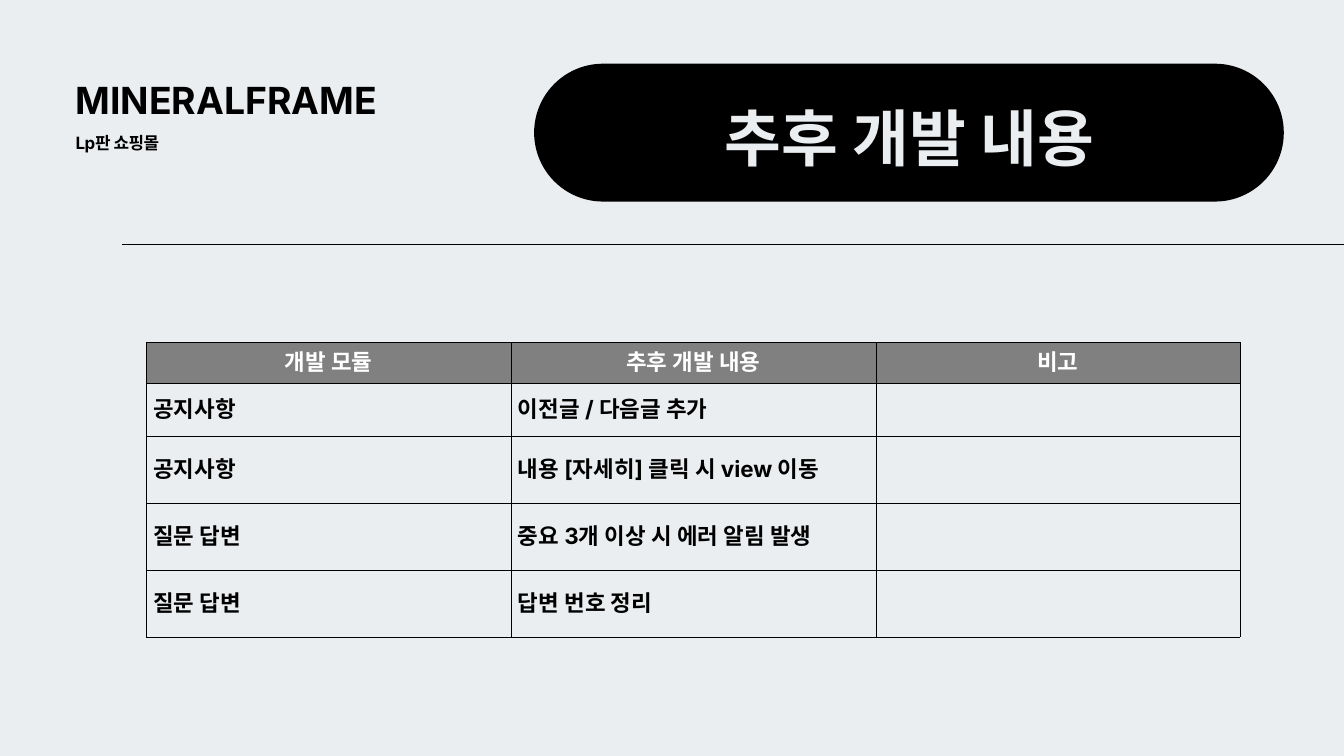
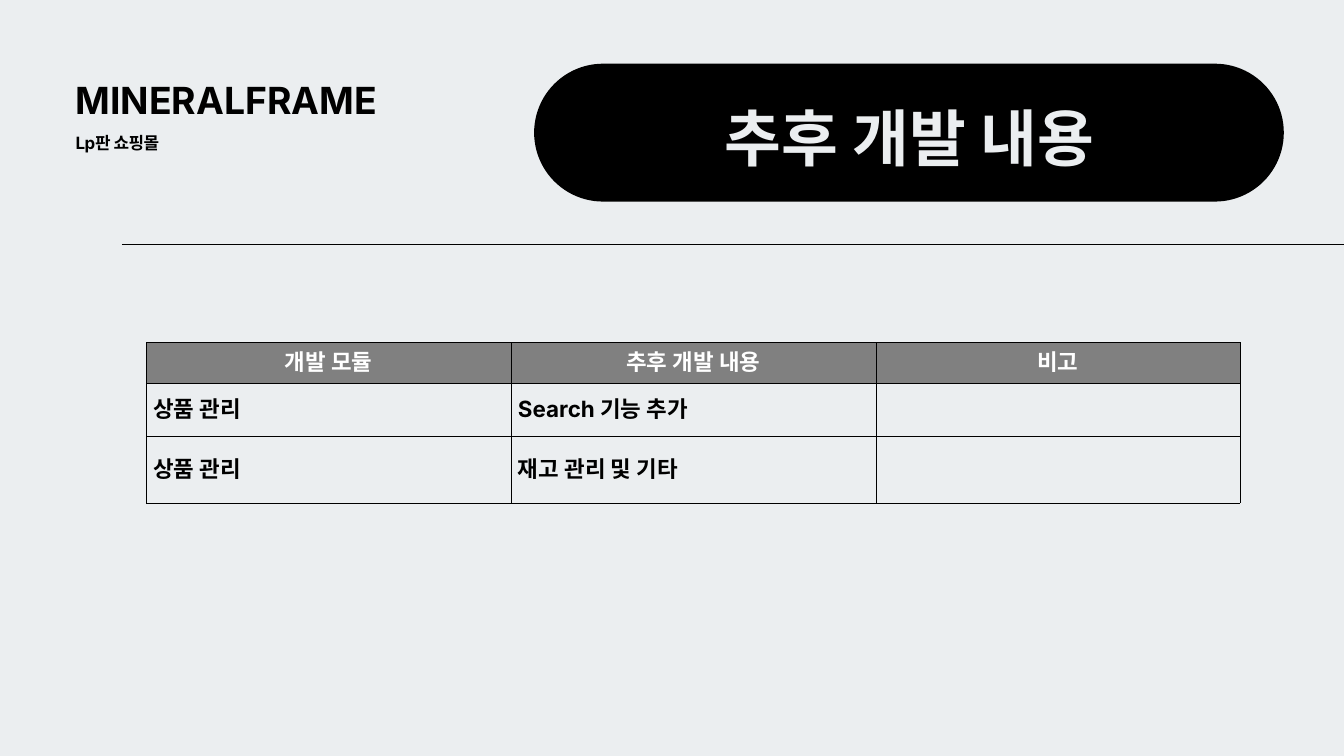
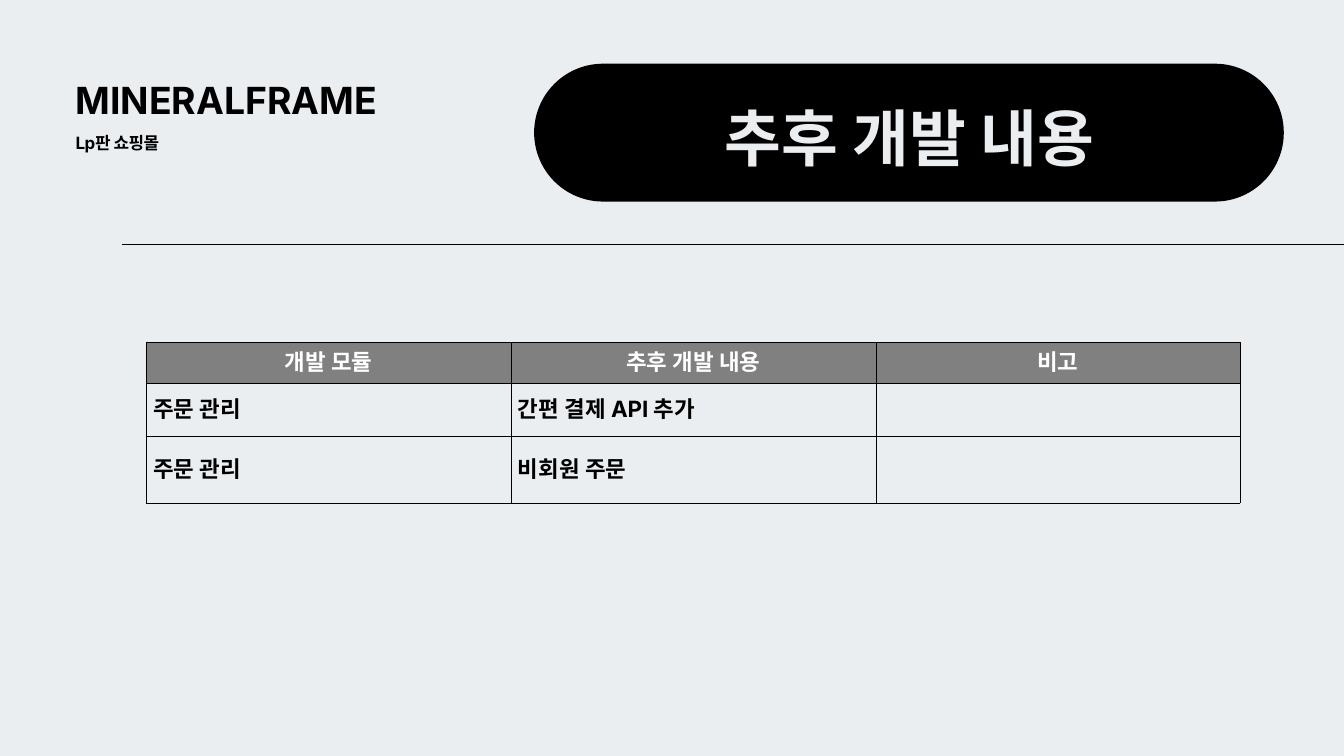
from dataclasses import dataclass

from lxml import etree
from pptx import Presentation, util as u
from pptx.dml.color import RGBColor
from pptx.enum import shapes, text
from pptx.oxml import ns

PX = 9525  # EMU in one px, 96 px to the inch


@dataclass(frozen=True)
class Style:
    """Type size, line spacing and letter spacing in points."""
    size: float
    leading: float
    colour: RGBColor
    align: text.PP_ALIGN = text.PP_ALIGN.LEFT
    tracking: float = 0


class Theme:
    font = "Inter"
    paper = RGBColor.from_string("EBEEF0")
    ink = RGBColor.from_string("000000")
    header_grey = RGBColor.from_string("808080")
    white = RGBColor.from_string("FFFFFF")
    rule_width = 0.75
    border_width = 0.37

    brand = Style(40, 56, ink)
    tagline = Style(18.1, 21.8, ink, tracking=-0.6)
    title = Style(66.1, 92.6, paper, text.PP_ALIGN.CENTER)
    header = Style(24, 28.8, white, text.PP_ALIGN.CENTER)
    body = Style(24, 28.8, ink)


BRAND = "MINERALFRAME"
TAGLINE = "Lp판 쇼핑몰"
TITLE = "추후 개발 내용"
COLUMNS = ["개발 모듈", "추후 개발 내용", "비고"]
PLANS = [
    [
        ("공지사항", "이전글 / 다음글 추가"),
        ("공지사항", "내용 [자세히] 클릭 시 view 이동"),
        ("질문 답변", "중요 3개 이상 시 에러 알림 발생"),
        ("질문 답변", "답변 번호 정리"),
    ],
    [
        ("상품 관리", "Search 기능 추가"),
        ("상품 관리", "재고 관리 및 기타"),
    ],
    [
        ("주문 관리", "간편 결제 API 추가"),
        ("주문 관리", "비회원 주문"),
    ],
]

COLUMN_WIDTH = 521
HEADER_HEIGHT, FIRST_HEIGHT, ROW_HEIGHT = 57, 75, 96
CELL_MARGIN = 10


def px(*lengths):
    return [u.Emu(length * PX) for length in lengths]


def write(frame, words, style):
    paragraph = frame.paragraphs[0]
    paragraph.alignment = style.align
    paragraph.line_spacing = u.Pt(style.leading)
    run = paragraph.add_run()
    run.text = words
    font = run.font
    font.name, font.size, font.bold = Theme.font, u.Pt(style.size), True
    font.color.rgb = style.colour
    properties = run.font._element
    etree.SubElement(properties, ns.qn("a:ea"), typeface=Theme.font)
    if style.tracking:
        properties.set("spc", str(round(style.tracking * 100)))


def fill_box(box, words, style):
    """Write into a box without insets, from its top edge."""
    frame = box.text_frame
    frame.margin_left = frame.margin_right = 0
    frame.margin_top = frame.margin_bottom = 0
    frame.word_wrap = True
    frame.auto_size = text.MSO_AUTO_SIZE.SHAPE_TO_FIT_TEXT
    frame.vertical_anchor = text.MSO_ANCHOR.TOP
    write(frame, words, style)


def add_rule(slide):
    rule = slide.shapes.add_connector(
        shapes.MSO_CONNECTOR.STRAIGHT, *px(174, 349, 1920, 349))
    rule.line.color.rgb = Theme.ink
    rule.line.width = u.Pt(Theme.rule_width)
    etree.SubElement(rule.element.spPr, ns.qn("a:effectLst"))


def add_label(slide, words, style, *bounds):
    fill_box(slide.shapes.add_textbox(*px(*bounds)), words, style)


def add_title(slide):
    """Set the title on top of its black pill."""
    pill = slide.shapes.add_shape(
        shapes.MSO_SHAPE.ROUNDED_RECTANGLE, *px(763, 91, 1071, 197))
    pill.adjustments[0] = 0.5
    pill.shadow.inherit = False
    pill.fill.solid()
    pill.fill.fore_color.rgb = Theme.ink
    pill.line.fill.background()

    title = slide.shapes.title
    title.left, title.top, title.width, title.height = px(826, 125, 946, 118)
    fill_box(title, TITLE, Theme.title)
    pill.element.addnext(title.element)


def add_borders(cell):
    properties = cell._tc.get_or_add_tcPr()
    for position, side in enumerate("LRTB"):
        border = etree.Element(ns.qn(f"a:ln{side}"),
                               w=str(u.Pt(Theme.border_width)))
        fill = etree.SubElement(border, ns.qn("a:solidFill"))
        etree.SubElement(fill, ns.qn("a:srgbClr"), val=str(Theme.ink))
        properties.insert(position, border)


def format_cell(cell, words, is_header):
    cell.vertical_anchor = text.MSO_ANCHOR.MIDDLE
    (cell.margin_left, cell.margin_right,
     cell.margin_top, cell.margin_bottom) = px(*[CELL_MARGIN] * 4)
    if is_header:
        cell.fill.solid()
        cell.fill.fore_color.rgb = Theme.header_grey
    else:
        cell.fill.background()
    if words:
        write(cell.text_frame, words, Theme.header if is_header else Theme.body)
    add_borders(cell)


def add_plan_table(slide, plan):
    rows = [COLUMNS] + [(module, task, "") for module, task in plan]
    heights = [HEADER_HEIGHT, FIRST_HEIGHT] + [ROW_HEIGHT] * (len(plan) - 1)
    table = slide.shapes.add_table(
        len(rows), len(COLUMNS),
        *px(209, 489, COLUMN_WIDTH * len(COLUMNS), sum(heights))).table
    table.first_row = table.horz_banding = False
    for column in table.columns:
        column.width = u.Emu(COLUMN_WIDTH * PX)
    for r, (row, height) in enumerate(zip(rows, heights)):
        table.rows[r].height = u.Emu(height * PX)
        for c, words in enumerate(row):
            format_cell(table.cell(r, c), words, r == 0)


def add_plan_slide(prs, plan):
    slide = prs.slides.add_slide(prs.slide_layouts[5])
    add_rule(slide)
    add_label(slide, BRAND, Theme.brand, 108, 100, 458, 71)
    add_title(slide)
    add_label(slide, TAGLINE, Theme.tagline, 108, 190, 384, 29)
    add_plan_table(slide, plan)


def main():
    prs = Presentation()
    prs.slide_width, prs.slide_height = px(1920, 1080)
    background = prs.slide_master.background.fill
    background.solid()
    background.fore_color.rgb = Theme.paper
    for plan in PLANS:
        add_plan_slide(prs, plan)
    prs.save("out.pptx")


if __name__ == "__main__":
    main()
